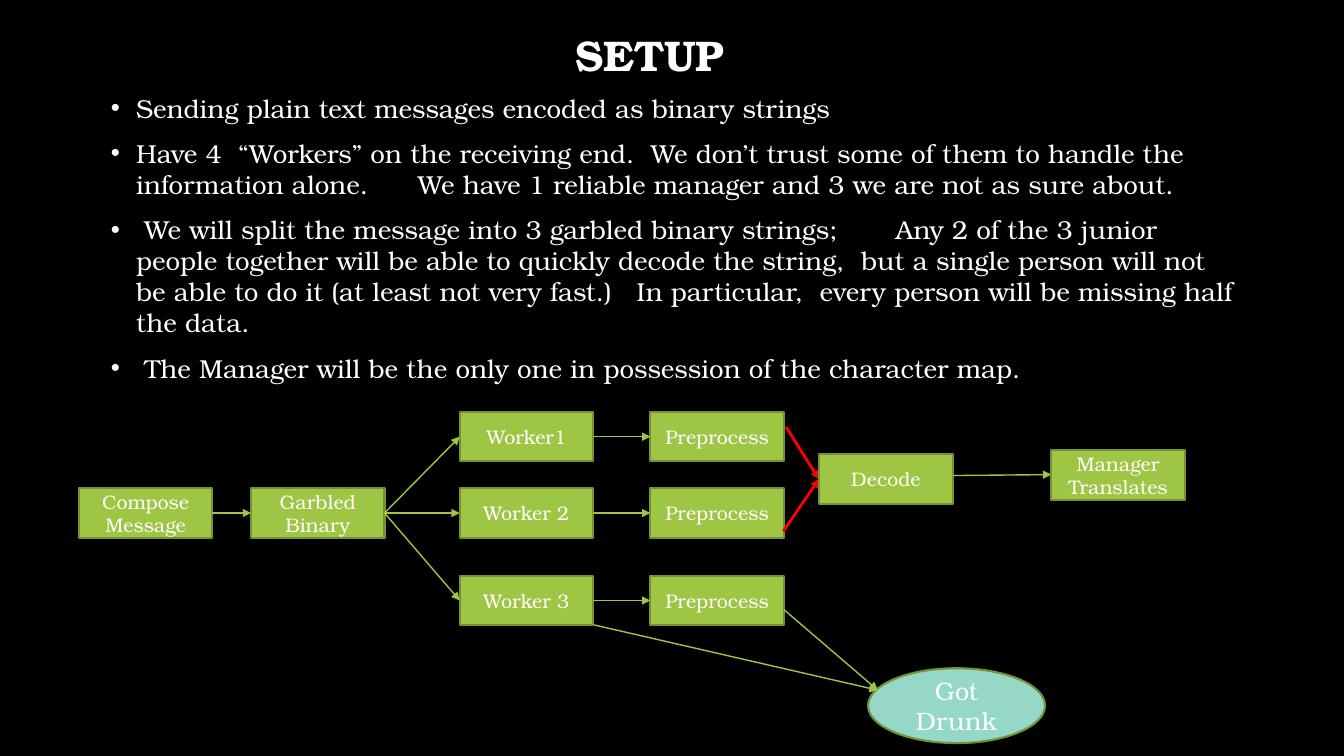
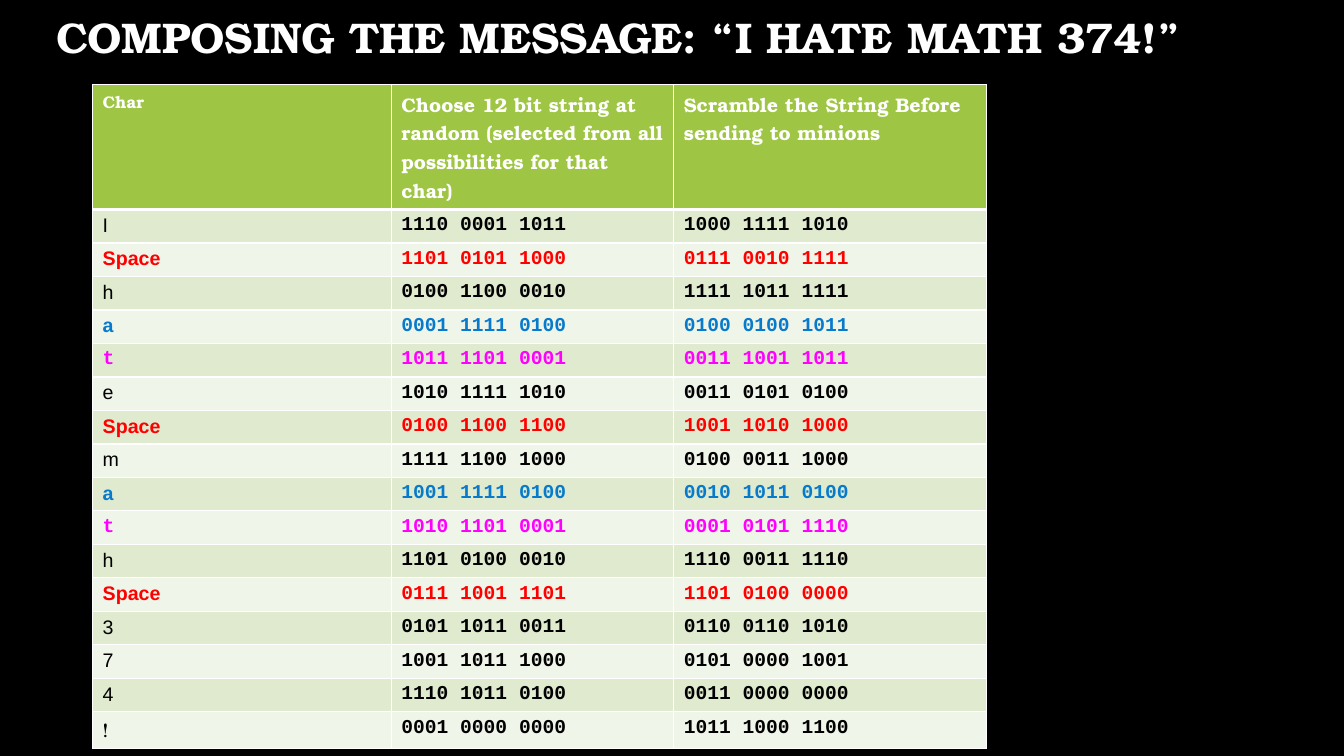
from lxml import etree
from pptx import Presentation
from pptx.dml.color import RGBColor
from pptx.enum.shapes import MSO_CONNECTOR, MSO_SHAPE
from pptx.enum.text import MSO_ANCHOR, MSO_AUTO_SIZE, PP_ALIGN
from pptx.oxml.ns import qn
from pptx.util import Pt

STRAIGHT = MSO_CONNECTOR.STRAIGHT
PROCESS = MSO_SHAPE.FLOWCHART_PROCESS
OVAL = MSO_SHAPE.OVAL
MIDDLE = MSO_ANCHOR.MIDDLE
TOP = MSO_ANCHOR.TOP
FIXED_SIZE = MSO_AUTO_SIZE.NONE
CENTER = PP_ALIGN.CENTER
LEFT = PP_ALIGN.LEFT

BLACK = RGBColor(0x00, 0x00, 0x00)
WHITE = RGBColor(0xFF, 0xFF, 0xFF)
GREEN = RGBColor(0x9E, 0xC5, 0x44)
DARK_GREEN = RGBColor(0x75, 0x92, 0x32)
TEAL = RGBColor(0x96, 0xD8, 0xC8)
RED = RGBColor(0xFF, 0x00, 0x00)
BLUE = RGBColor(0x07, 0x7A, 0xCC)
PINK = RGBColor(0xFF, 0x00, 0xFF)
BAND_DARK = RGBColor(0xDF, 0xEA, 0xCF)
BAND_LIGHT = RGBColor(0xF0, 0xF5, 0xE9)

SERIF = "TeX Gyre Bonum"
SANS = "Arial"
MONO = "Courier New"

LEFT_SITE, RIGHT_SITE = 1, 3
NODE_WIDTH, NODE_HEIGHT = 95.3, 35.3

BULLETS = [
    "Sending plain text messages encoded as binary strings",
    "Have 4  “Workers” on the receiving end.  We don’t trust some of them to "
    "handle the information alone.      We have 1 reliable manager and 3 we are "
    "not as sure about.",
    " We will split the message into 3 garbled binary strings;       Any 2 of the "
    "3 junior people together will be able to quickly decode the string,  but a "
    "single person will not be able to do it (at least not very fast.)   In "
    "particular,  every person will be missing half the data.",
    " The Manager will be the only one in possession of the character map.",
]

HEADINGS = [
    ("Char", 12),
    ("Choose 12 bit string at random (selected from all possibilities for that char)", 14),
    ("Scramble the String Before sending to minions", 14),
]
CODES = [
    ("I", "1110 0001 1011", "1000 1111 1010"),
    ("Space", "1101 0101 1000", "0111 0010 1111"),
    ("h", "0100 1100 0010", "1111 1011 1111"),
    ("a", "0001 1111 0100", "0100 0100 1011"),
    ("t", "1011 1101 0001", "0011 1001 1011"),
    ("e", "1010 1111 1010", "0011 0101 0100"),
    ("Space", "0100 1100 1100", "1001 1010 1000"),
    ("m", "1111 1100 1000", "0100 0011 1000"),
    ("a", "1001 1111 0100", "0010 1011 0100"),
    ("t", "1010 1101 0001", "0001 0101 1110"),
    ("h", "1101 0100 0010", "1110 0011 1110"),
    ("Space", "0111 1001 1101", "1101 0100 0000"),
    ("3", "0101 1011 0011", "0110 0110 1010"),
    ("7", "1001 1011 1000", "0101 0000 1001"),
    ("4", "1110 1011 0100", "0011 0000 0000"),
    ("!", "0001 0000 0000", "1011 1000 1100"),
]
REPEAT_COLOURS = {"Space": RED, "a": BLUE, "t": PINK}
CHAR_FONTS = {"t": MONO, "!": SERIF}


def add_span(para, text, size, colour=WHITE, font=SERIF, bold=False):
    """Add one formatted run to a paragraph."""
    span = para.add_run()
    span.text = text
    span.font.size = Pt(size)
    span.font.name = font
    span.font.bold = bold
    span.font.color.rgb = colour


def place(shape, box):
    """Move a shape to a box of left, top, width and height."""
    shape.left, shape.top, shape.width, shape.height = map(Pt, box)


def set_title(page, text, box):
    """Fill and place the title placeholder."""
    title = page.shapes.title
    place(title, box)
    frame = title.text_frame
    frame.word_wrap = True
    frame.auto_size = FIXED_SIZE
    frame.vertical_anchor = MIDDLE
    para = frame.paragraphs[0]
    para.alignment = CENTER
    para.line_spacing = 0.9
    add_span(para, text, 30.6, bold=True)


def set_bullets(body, lines, box):
    """Fill the body placeholder with a bulleted list."""
    place(body, box)
    frame = body.text_frame
    frame.word_wrap = True
    frame.auto_size = FIXED_SIZE
    frame.vertical_anchor = TOP
    for index, line in enumerate(lines):
        para = frame.add_paragraph() if index else frame.paragraphs[0]
        para.alignment = LEFT
        para.space_before = Pt(10)
        properties = para._p.get_or_add_pPr()
        properties.set("marL", str(Pt(18)))
        properties.set("indent", str(-Pt(18)))
        etree.SubElement(properties, qn("a:buFont"), typeface=SANS)
        etree.SubElement(properties, qn("a:buChar"), char="•")
        add_span(para, line, 18.5)


def add_node(page, lines, box, kind=PROCESS, fill=GREEN, size=14):
    """Add a labelled shape of the flow chart."""
    node = page.shapes.add_shape(kind, *map(Pt, box))
    node.shadow.inherit = False
    node.fill.solid()
    node.fill.fore_color.rgb = fill
    node.line.color.rgb = DARK_GREEN
    node.line.width = Pt(1.5)
    frame = node.text_frame
    frame.word_wrap = True
    frame.vertical_anchor = MIDDLE
    for index, line in enumerate(lines):
        para = frame.add_paragraph() if index else frame.paragraphs[0]
        para.alignment = CENTER
        add_span(para, line, size)
    return node


def add_arrow(page, start, end, colour=GREEN, width=1):
    """Add a straight arrow between two points."""
    arrow = page.shapes.add_connector(STRAIGHT, *map(Pt, (*start, *end)))
    arrow.line.color.rgb = colour
    arrow.line.width = Pt(width)
    etree.SubElement(arrow.line._get_or_add_ln(), qn("a:tailEnd"), type="triangle")
    etree.SubElement(arrow._element.spPr, qn("a:effectLst"))
    return arrow


def join(page, source, target):
    """Glue an arrow from the right of one node to the left of another."""
    arrow = add_arrow(page, (0, 0), (0, 0))
    arrow.begin_connect(source, RIGHT_SITE)
    arrow.end_connect(target, LEFT_SITE)


def add_flow(page, left, top):
    """Draw the message flow from its top left corner."""

    def at(x, y):
        return left + x, top + y

    def process(label, x, y):
        return add_node(page, [label], (*at(x, y), NODE_WIDTH, NODE_HEIGHT))

    compose = process("Compose Message", 0.4, 54.8)
    garbled = process("Garbled Binary", 123.4, 54.8)
    join(page, compose, garbled)
    for label, y in (("Worker1", 0.3), ("Worker 2", 54.8), ("Worker 3", 117.3)):
        worker = process(label, 272.4, y)
        join(page, garbled, worker)
        join(page, worker, process("Preprocess", 408.6, y))
    add_node(page, ["Got", "Drunk"], (*at(564, 183.3), 126.5, 53.5), OVAL, TEAL, 18)
    for start in ((504, 141.5), (368, 152.3)):
        add_arrow(page, at(*start), at(571, 199))
    for start in ((503.5, 85.5), (505.5, 11)):
        add_arrow(page, at(*start), at(529, 48.3), RED, 2)
    process("Decode", 529.2, 30.6)
    add_arrow(page, at(624.5, 45.7), at(695, 45))
    process("Manager Translates", 695, 27.6)


def set_cell(cell, text, fill, edges, size=14, **style):
    """Give a table cell its borders, fill and text."""
    properties = cell._tc.get_or_add_tcPr()
    for side, width in zip("LRTB", edges):
        border = etree.SubElement(properties, qn(f"a:ln{side}"), w=str(Pt(width)))
        paint = etree.SubElement(border, qn("a:solidFill"))
        etree.SubElement(paint, qn("a:srgbClr"), val=str(WHITE))
    cell.fill.solid()
    cell.fill.fore_color.rgb = fill
    add_span(cell.text_frame.paragraphs[0], text, size, **style)


def add_code_table(page, box):
    """Draw the table of characters and their bit strings."""
    header_height = 89
    row_height = (box[3] - header_height) / len(CODES)
    frame = page.shapes.add_table(len(CODES) + 1, len(HEADINGS), *map(Pt, box))
    table = frame.table
    table.horz_banding = False
    for column, share in zip(table.columns, (0.334, 0.316, 0.35)):
        column.width = Pt(box[2] * share)
    table.rows[0].height = Pt(header_height)
    for column, (heading, size) in enumerate(HEADINGS):
        set_cell(table.cell(0, column), heading, GREEN, (1, 1, 1, 3), size, bold=True)
    for row, codes in enumerate(CODES, 1):
        table.rows[row].height = Pt(row_height)
        char = codes[0]
        colour = REPEAT_COLOURS.get(char, BLACK)
        fill = BAND_DARK if row % 2 else BAND_LIGHT
        edges = (1, 1, 3 if row == 1 else 1, 1)
        for column, text in enumerate(codes):
            font = MONO if column else CHAR_FONTS.get(char, SANS)
            bold = column > 0 or char in REPEAT_COLOURS
            set_cell(table.cell(row, column), text, fill, edges,
                     colour=colour, font=font, bold=bold)


def build_setup(deck):
    """Build the slide with the list and the flow chart."""
    page = deck.slides.add_slide(deck.slide_layouts[1])
    set_title(page, "SETUP", (56.5, 20, 815, 42.5))
    set_bullets(page.placeholders[1], BULLETS, (72, 62.3, 819, 237.5))
    add_flow(page, 56, 294)


def build_message(deck):
    """Build the slide with the table of bit strings."""
    page = deck.slides.add_slide(deck.slide_layouts[5])
    set_title(page, "COMPOSING THE MESSAGE: “I HATE MATH 374!”", (9, 5, 865, 46))
    add_code_table(page, (66.2, 60.3, 638.6, 472))


def main():
    """Build the deck and save it."""
    deck = Presentation()
    deck.slide_width, deck.slide_height = Pt(960), Pt(540)
    background = deck.slide_master.background.fill
    background.solid()
    background.fore_color.rgb = BLACK
    build_setup(deck)
    build_message(deck)
    deck.save("out.pptx")


if __name__ == "__main__":
    main()
